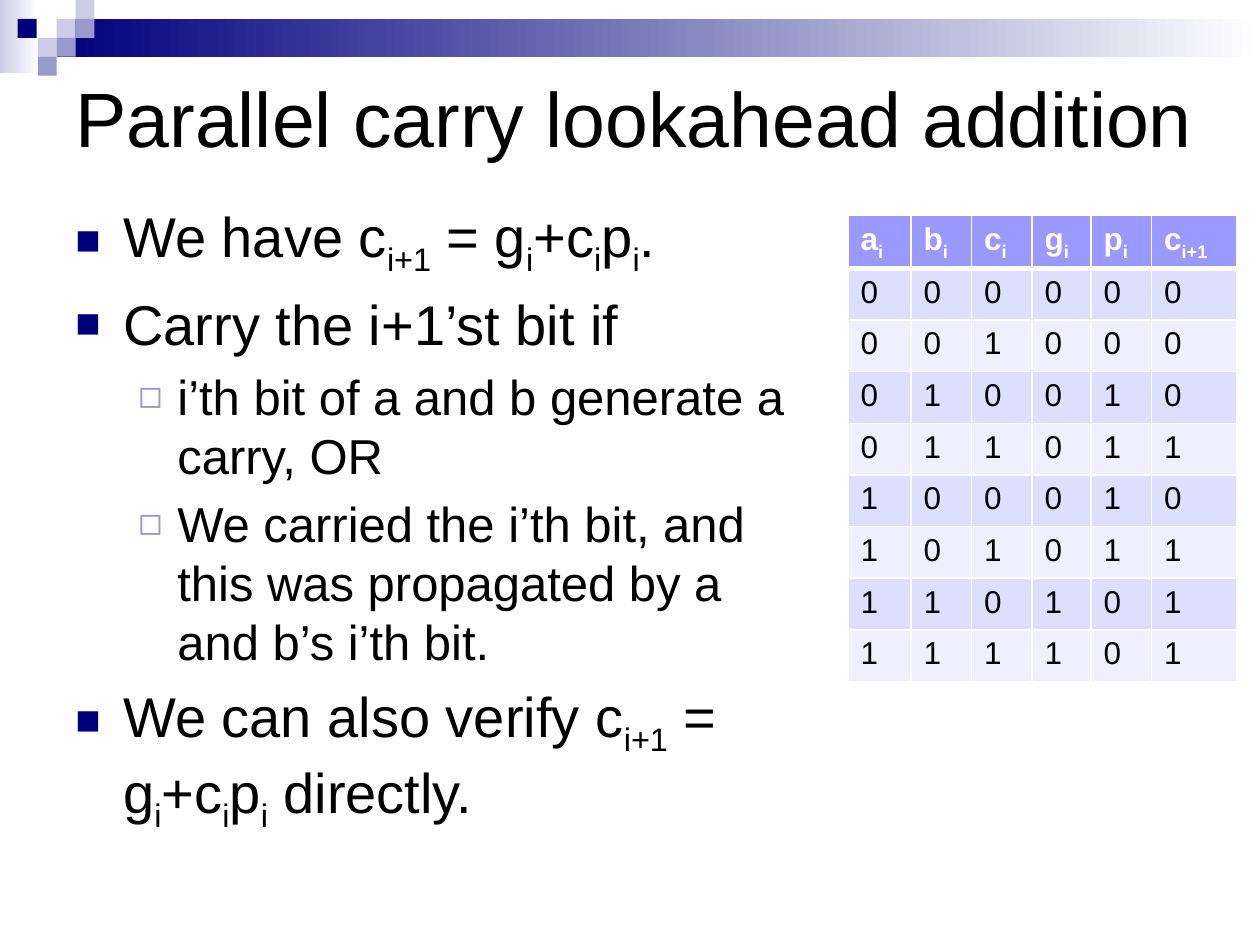
from dataclasses import dataclass
from itertools import product

from lxml import etree
from pptx import Presentation
from pptx.dml.color import RGBColor
from pptx.enum import shapes, text
from pptx.oxml import ns
from pptx.util import Inches, Pt


@dataclass(frozen=True)
class Theme:
    font: str = "Arial"
    ink: str = "000000"
    white: str = "FFFFFF"
    navy: str = "00007D"
    lilac: str = "9999CC"
    pale: str = "CCCCE6"
    header: str = "9999FF"
    bands: tuple = ("DEDEFF", "EFEFFF")
    title_size: int = 44
    body_sizes: tuple = (32, 28)
    table_size: int = 18


THEME = Theme()
# Per level: bullet, colour, size in percent, text margin, hanging indent
BULLETS = (("■", THEME.navy, 75, 0.38, 0.38),
           ("◻", THEME.lilac, 80, 0.81, 0.31))

# Text between bars is subscript
TITLE = "Parallel carry lookahead addition"
POINTS = (
    (0, "We have c|i+1| = g|i|+c|i|p|i|."),
    (0, "Carry the i+1’st bit if"),
    (1, "i’th bit of a and b generate a carry, OR"),
    (1, "We carried the i’th bit, and this was propagated by a and b’s i’th bit."),
    (0, "We can also verify c|i+1| = g|i|+c|i|p|i| directly."),
)
HEADINGS = ("a|i|", "b|i|", "c|i|", "g|i|", "p|i|", "c|i+1|")
COLUMN_WIDTHS = (0.5, 0.48, 0.48, 0.47, 0.48, 0.68)
ROW_HEIGHT = 0.41

# Decoration: left, top, colour of each small square
SQUARE = 0.15
SQUARES = (
    (0.45, 0.15, THEME.pale), (0.6, 0, THEME.pale), (0.6, 0.15, THEME.lilac),
    (0.3, 0.3, THEME.pale), (0.14, 0.15, THEME.navy),
    (0.45, 0.3, THEME.lilac), (0.3, 0.45, THEME.lilac),
)


def rgb(value):
    return RGBColor.from_string(value)


def child(parent, tag, **attributes):
    return etree.SubElement(parent, ns.qn(tag), attributes)


def add_block(slide, left, top, width, height, *colours):
    """Rectangle with a plain fill, or a left-to-right gradient of two colours."""
    block = slide.shapes.add_shape(
        shapes.MSO_SHAPE.RECTANGLE,
        Inches(left), Inches(top), Inches(width), Inches(height))
    block.shadow.inherit = False
    block.line.fill.background()
    if len(colours) == 1:
        block.fill.solid()
        block.fill.fore_color.rgb = rgb(colours[0])
        return
    block.fill.gradient()
    block.fill.gradient_angle = 0
    for position, (stop, colour) in enumerate(zip(block.fill.gradient_stops, colours)):
        stop.position = position
        stop.color.rgb = rgb(colour)


def write_formula(paragraph, formula, size, colour=THEME.ink, bold=False):
    for index, part in enumerate(formula.split("|")):
        if not part:
            continue
        run = paragraph.add_run()
        run.text = part
        run.font.name = THEME.font
        run.font.size = Pt(size)
        run.font.bold = bold
        run.font.color.rgb = rgb(colour)
        if index % 2:
            run.font._element.set("baseline", "-25000")


def add_text_area(slide, left, top, width, height, anchor):
    area = slide.shapes.add_textbox(
        Inches(left), Inches(top), Inches(width), Inches(height))
    frame = area.text_frame
    frame.word_wrap = True
    frame.auto_size = text.MSO_AUTO_SIZE.NONE
    frame.vertical_anchor = anchor
    return frame


def set_bullet(paragraph, level):
    symbol, colour, percent, margin, hanging = BULLETS[level]
    paragraph.level = level
    properties = paragraph._p.get_or_add_pPr()
    properties.set("marL", str(Inches(margin)))
    properties.set("indent", str(-Inches(hanging)))
    child(child(properties, "a:buClr"), "a:srgbClr", val=colour)
    child(properties, "a:buSzPct", val=str(percent * 1000))
    child(properties, "a:buFont", typeface=THEME.font)
    child(properties, "a:buChar", char=symbol)


def add_points(slide):
    frame = add_text_area(slide, 0.5, 1.55, 5.97, 5.95, text.MSO_ANCHOR.TOP)
    for index, (level, point) in enumerate(POINTS):
        paragraph = frame.add_paragraph() if index else frame.paragraphs[0]
        size = THEME.body_sizes[level]
        set_bullet(paragraph, level)
        if index:
            paragraph.space_before = Pt(size * 0.2)
        write_formula(paragraph, point, size)


def set_borders(cell, top, bottom):
    properties = cell._tc.get_or_add_tcPr()
    for side, width in (("L", 1), ("R", 1), ("T", top), ("B", bottom)):
        line = child(properties, f"a:ln{side}", w=str(Pt(width)))
        child(child(line, "a:solidFill"), "a:srgbClr", val=THEME.white)


def carry_rows():
    for a, b, c in product((0, 1), repeat=3):
        generate, propagate = a & b, a ^ b
        yield a, b, c, generate, propagate, generate | (c & propagate)


def add_carry_table(slide):
    rows = [HEADINGS, *carry_rows()]
    table = slide.shapes.add_table(
        len(rows), len(HEADINGS), Inches(6.73), Inches(1.71),
        Inches(sum(COLUMN_WIDTHS)), Inches(ROW_HEIGHT * len(rows))).table
    for column, width in zip(table.columns, COLUMN_WIDTHS):
        column.width = Inches(width)
    for r, values in enumerate(rows):
        table.rows[r].height = Inches(ROW_HEIGHT)
        heading = r == 0
        for c, value in enumerate(values):
            cell = table.cell(r, c)
            set_borders(cell, 3 if r == 1 else 1, 3 if heading else 1)
            cell.fill.solid()
            cell.fill.fore_color.rgb = rgb(
                THEME.header if heading else THEME.bands[(r - 1) % 2])
            write_formula(cell.text_frame.paragraphs[0], str(value), THEME.table_size,
                          THEME.white if heading else THEME.ink, heading)


def main():
    deck = Presentation()
    deck.slide_width, deck.slide_height = Inches(10), Inches(7.5)
    slide = deck.slides.add_slide(deck.slide_layouts[6])

    # Top band with its squares
    add_block(slide, 0, 0, 0.31, 0.58, THEME.pale, THEME.white)
    add_block(slide, 0.45, 0.15, 9.55, 0.3, THEME.navy, THEME.white)
    for left, top, colour in SQUARES:
        add_block(slide, left, top, SQUARE, SQUARE, colour)

    # Title
    heading = add_text_area(slide, 0.5, 0.5, 9.1, 0.86, text.MSO_ANCHOR.MIDDLE)
    write_formula(heading.paragraphs[0], TITLE, THEME.title_size)

    # Explanation and truth table
    add_points(slide)
    add_carry_table(slide)

    deck.save("out.pptx")


if __name__ == "__main__":
    main()
